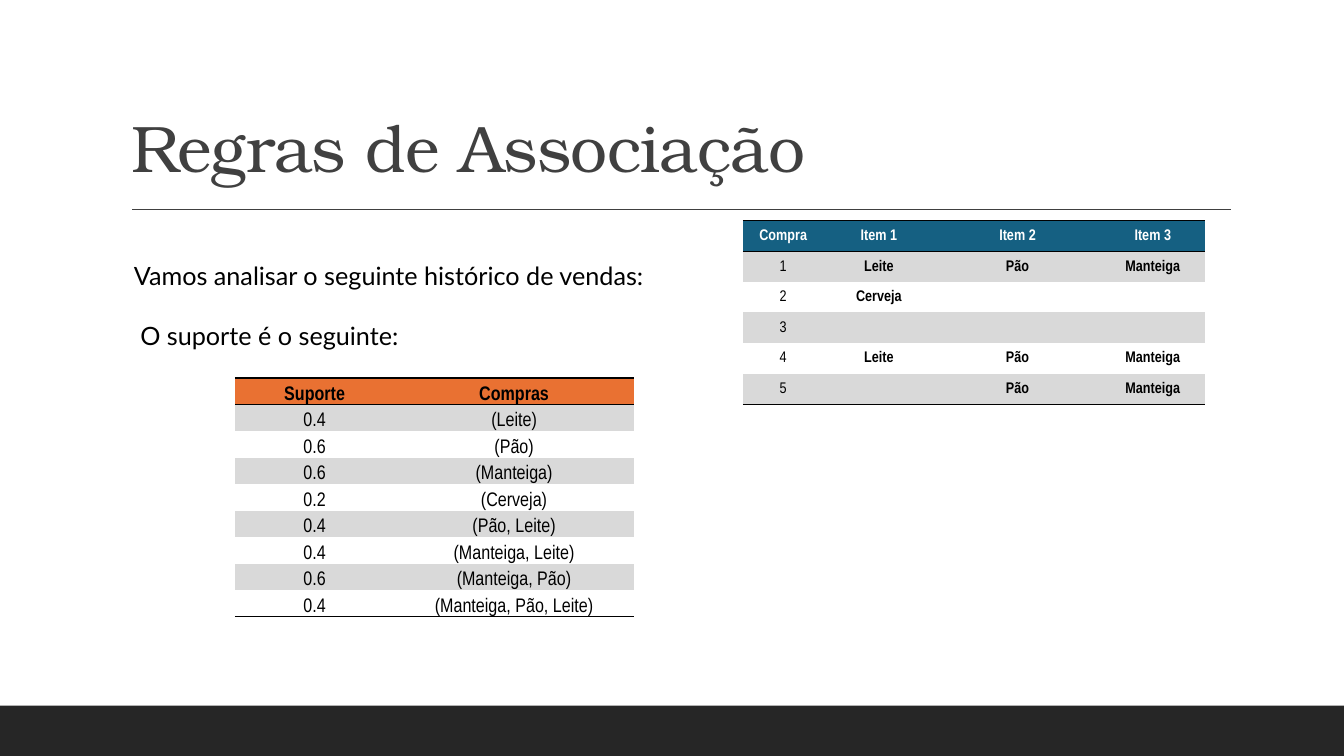
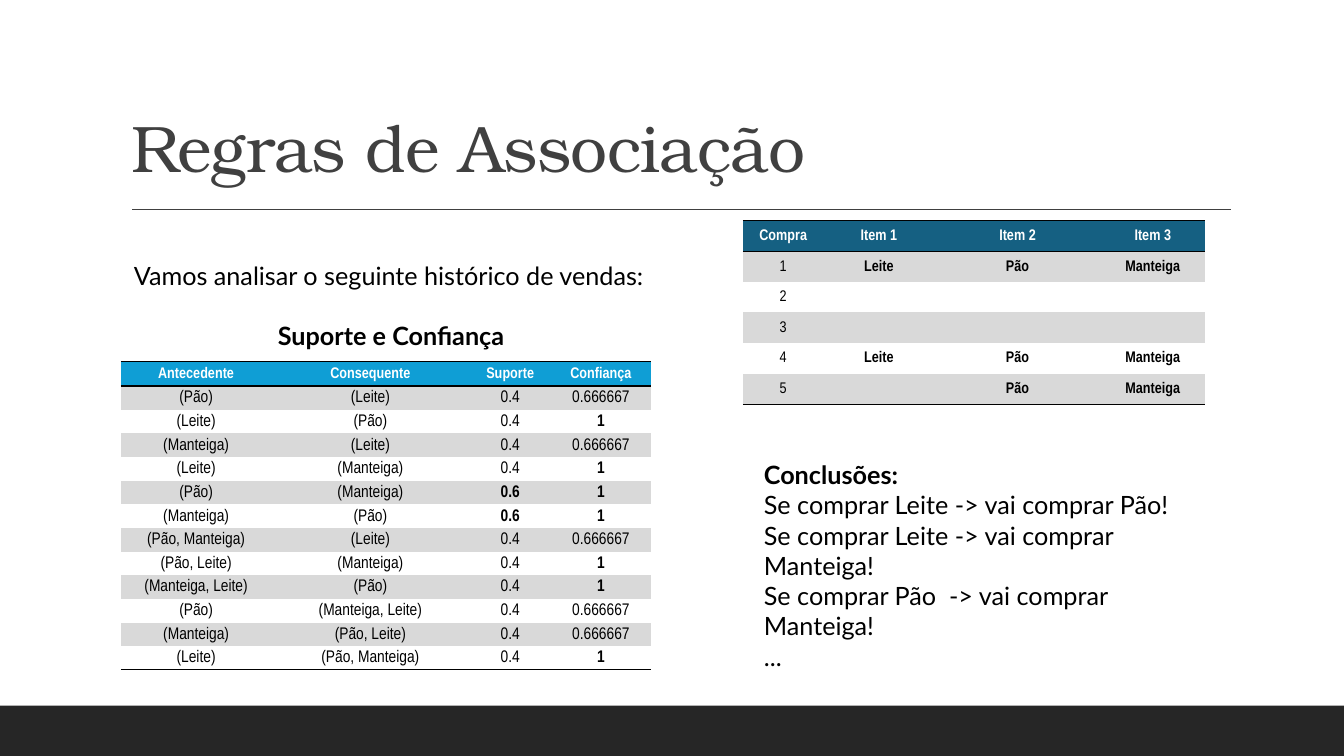
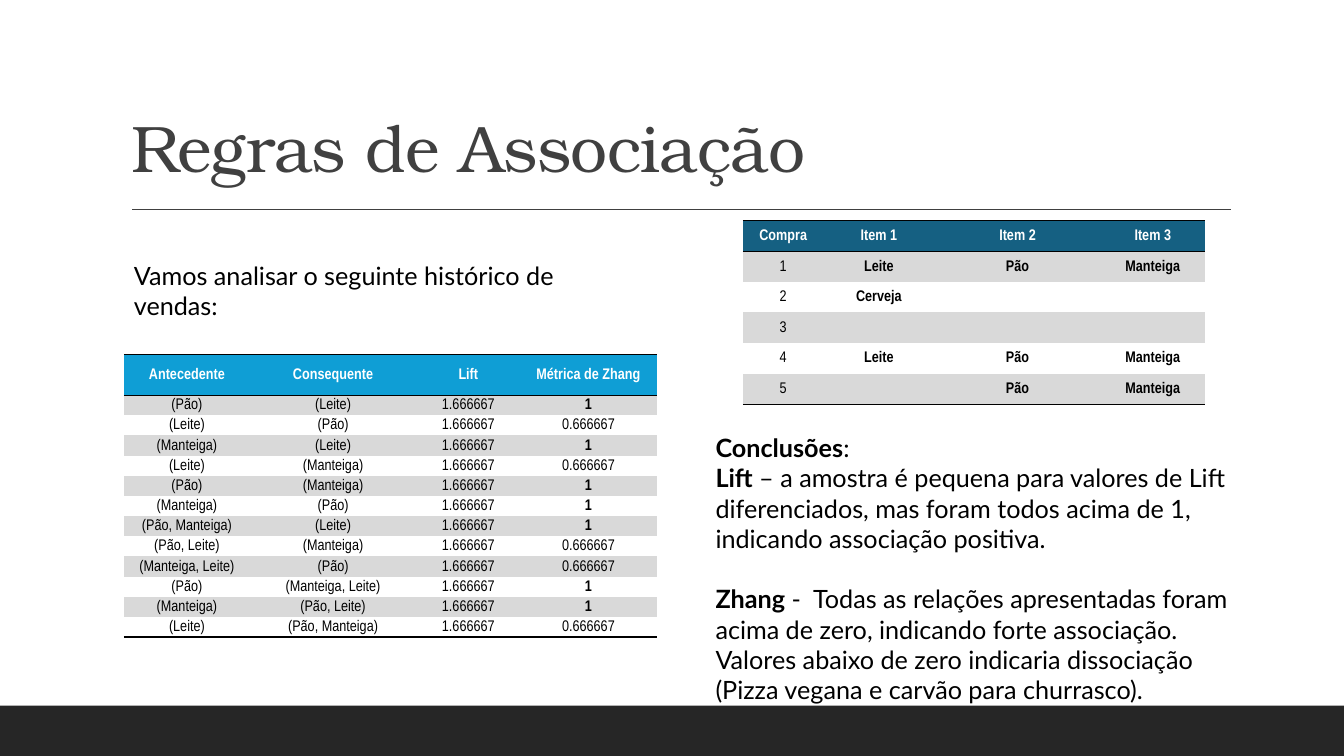
from pptx import Presentation
from pptx.dml.color import RGBColor
from pptx.enum.shapes import MSO_CONNECTOR, MSO_SHAPE
from pptx.enum.text import MSO_ANCHOR, MSO_AUTO_SIZE, PP_ALIGN
from pptx.oxml import parse_xml
from pptx.oxml.ns import nsdecls, qn
from pptx.util import Inches, Pt

COLORS = {
    "black": "000000", "white": "FFFFFF", "band": "262626", "title": "404040",
    "stripe": "D9D9D9", "navy": "156082", "orange": "E97132", "sky": "0F9ED5",
}
RGB = {name: RGBColor.from_string(value) for name, value in COLORS.items()}
UNIT = Inches(1) / 12
COLS, ROWS = 160, 90
NO_STYLE = "{2D5ABB26-0587-4C30-8999-92F81FD0307C}"
LEFT, CENTER = PP_ALIGN.LEFT, PP_ALIGN.CENTER
LINE = 21.6


def add_grid(slide, left, top, widths, heights, rows, header, bold=(), sizes=(11, 11),
             anchor=MSO_ANCHOR.MIDDLE):
    header_height, row_height = heights
    total = header_height + row_height * (len(rows) - 1)
    table = slide.shapes.add_table(
        len(rows), len(widths), *[int(v * UNIT) for v in (left, top, sum(widths), total)]).table
    table.first_row = table.horz_banding = False
    table._tbl.tblPr.find(qn("a:tableStyleId")).text = NO_STYLE
    for column, width in zip(table.columns, widths):
        column.width = int(width * UNIT)
    header_fill, header_color = header
    for r, values in enumerate(rows):
        table.rows[r].height = int((row_height if r else header_height) * UNIT)
        size = sizes[min(r, 1)]
        for c, value in enumerate(values):
            cell = table.cell(r, c)
            cell.vertical_anchor = anchor
            cell.margin_left = cell.margin_right = cell.margin_top = Inches(0.01)
            cell.margin_bottom = 0
            if r % 2 or r == 0:
                cell.fill.solid()
                cell.fill.fore_color.rgb = RGB["stripe" if r else header_fill]
            else:
                cell.fill.background()
            edges = ["lnT"] * (r == 0) + ["lnB"] * (r in (0, len(rows) - 1))
            for position, edge in enumerate(edges):
                cell._tc.get_or_add_tcPr().insert(position, parse_xml(
                    f'<a:{edge} {nsdecls("a")} w="12700"><a:solidFill>'
                    f'<a:srgbClr val="{COLORS["black"]}"/></a:solidFill></a:{edge}>'))
            paragraph = cell.text_frame.paragraphs[0]
            paragraph.alignment = CENTER
            paragraph._p.get_or_add_endParaRPr().set("sz", str(size * 100))
            if value:
                run = paragraph.add_run()
                run.text = value
                run.font.name, run.font.size = "Arial Narrow", Pt(size)
                run.font.bold = r == 0 or value in bold
                run.font.color.rgb = RGB["black" if r else header_color]


def add_text(slide, left, top, width, height, paragraphs):
    frame = slide.shapes.add_textbox(
        *[int(v * UNIT) for v in (left, top, width, height)]).text_frame
    frame.word_wrap = True
    for i, (text, align, gap) in enumerate(paragraphs):
        paragraph = frame.add_paragraph() if i else frame.paragraphs[0]
        paragraph.alignment = align
        paragraph.space_before = Pt(gap)
        for part, words in enumerate(text.split("**")):
            if words:
                run = paragraph.add_run()
                run.text = words
                run.font.name, run.font.size = "Lato", Pt(18)
                run.font.bold = part % 2 == 1
                run.font.color.rgb = RGB["black"]


prs = Presentation()
prs.slide_width, prs.slide_height = int(COLS * UNIT), int(ROWS * UNIT)
layout = prs.slide_layouts[5]
slides = [prs.slides.add_slide(layout) for _ in range(3)]
support_slide, confidence_slide, lift_slide = slides

band = support_slide.shapes.add_shape(
    MSO_SHAPE.RECTANGLE, 0, int(84 * UNIT), prs.slide_width, int(6 * UNIT))
band.shadow.inherit = False
band.fill.solid()
band.fill.fore_color.rgb = RGB["band"]
band.line.fill.background()
rule = support_slide.shapes.add_connector(
    MSO_CONNECTOR.STRAIGHT, *[int(v * UNIT) for v in (15.72, 24.96, 146.52, 24.96)])
rule.line.color.rgb = RGB["title"]
rule.line.width = Pt(1)
rule._element.spPr.append(parse_xml(f'<a:effectLst {nsdecls("a")}/>'))
for position, shared in enumerate((band, rule), start=2):
    layout.shapes._spTree.insert(position, shared._element)

PRODUCTS = ("Leite", "Pão", "Manteiga", "Cerveja")
INTRO = ("Vamos analisar o seguinte histórico de vendas:", LEFT, 0)
for slide in slides:
    title = slide.shapes.title
    title.left, title.top, title.width, title.height = [
        int(v * UNIT) for v in (14.4, 3.72, 132, 19.08)]
    title.text_frame.text = "Regras de Associação"
    title.text_frame.auto_size = MSO_AUTO_SIZE.NONE
    title.text_frame.vertical_anchor = MSO_ANCHOR.BOTTOM
    paragraph = title.text_frame.paragraphs[0]
    paragraph.alignment, paragraph.line_spacing = LEFT, 0.9
    run = paragraph.runs[0]
    run.font.name, run.font.size = "TeX Gyre Bonum", Pt(47)
    run.font.color.rgb = RGB["title"]
    run._r.get_or_add_rPr().set("spc", "-50")

    second_item = "" if slide is confidence_slide else "Cerveja"
    add_grid(slide, 88.44, 26.28, (9.6, 13.2, 19.8, 12.4), (3.64, 3.64), [
        ("Compra", "Item 1", "Item 2", "Item 3"),
        ("1", "Leite", "Pão", "Manteiga"),
        ("2", second_item, "", ""),
        ("3", "", "", ""),
        ("4", "Leite", "Pão", "Manteiga"),
        ("5", "", "Pão", "Manteiga"),
    ], ("navy", "white"), PRODUCTS)

add_text(support_slide, 14.76, 30.36, 63.6, 12,
         [INTRO, (" O suporte é o seguinte:", LEFT, LINE)])
add_grid(support_slide, 27.96, 45, (19, 28.5), (3.16, 3.16), [
    ("Suporte", "Compras"),
    ("0.4", "(Leite)"),
    ("0.6", "(Pão)"),
    ("0.6", "(Manteiga)"),
    ("0.2", "(Cerveja)"),
    ("0.4", "(Pão, Leite)"),
    ("0.4", "(Manteiga, Leite)"),
    ("0.6", "(Manteiga, Pão)"),
    ("0.4", "(Manteiga, Pão, Leite)"),
], ("orange", "black"), sizes=(14, 14), anchor=MSO_ANCHOR.BOTTOM)

PART = "0.666667"
RULES = [
    ("(Pão)", "(Leite)", "0.4", PART, "1"),
    ("(Leite)", "(Pão)", "0.4", "1", PART),
    ("(Manteiga)", "(Leite)", "0.4", PART, "1"),
    ("(Leite)", "(Manteiga)", "0.4", "1", PART),
    ("(Pão)", "(Manteiga)", "0.6", "1", "1"),
    ("(Manteiga)", "(Pão)", "0.6", "1", "1"),
    ("(Pão, Manteiga)", "(Leite)", "0.4", PART, "1"),
    ("(Pão, Leite)", "(Manteiga)", "0.4", "1", PART),
    ("(Manteiga, Leite)", "(Pão)", "0.4", "1", PART),
    ("(Pão)", "(Manteiga, Leite)", "0.4", PART, "1"),
    ("(Manteiga)", "(Pão, Leite)", "0.4", PART, "1"),
    ("(Leite)", "(Pão, Manteiga)", "0.4", "1", PART),
]

add_text(confidence_slide, 14.76, 30.36, 63.6, 12,
         [INTRO, ("**Suporte e Confiança**", CENTER, LINE)])
add_grid(confidence_slide, 14.4, 43.08, (17.9, 23.6, 9.7, 11.9), (2.88, 2.82),
         [("Antecedente", "Consequente", "Suporte", "Confiança")]
         + [row[:4] for row in RULES],
         ("sky", "white"), ("1", "0.6"), sizes=(11, 12))
add_text(confidence_slide, 89.76, 54.12, 56.5, 26, [
    ("**Conclusões:**", LEFT, 0),
    ("Se comprar Leite -> vai comprar Pão!", LEFT, 0),
    ("Se comprar Leite -> vai comprar Manteiga!", LEFT, 0),
    ("Se comprar Pão  -> vai comprar Manteiga!", LEFT, 0),
    ("...", LEFT, 0),
])

add_text(lift_slide, 14.76, 30.36, 62.28, 8, [INTRO])
add_grid(lift_slide, 14.76, 42.24, (15, 19.8, 12.4, 16.2), (4.8, 2.4),
         [("Antecedente", "Consequente", "Lift", "Métrica de Zhang")]
         + [(before, after, "1.666667", zhang) for before, after, _, _, zhang in RULES],
         ("sky", "white"), ("1",))
add_text(lift_slide, 84, 50.88, 71.4, 33, [
    ("**Conclusões**:", LEFT, 0),
    ("**Lift** – a amostra é pequena para valores de Lift diferenciados, "
     "mas foram todos acima de 1, indicando associação positiva.", LEFT, 0),
    ("**Zhang** -  Todas as relações apresentadas foram acima de zero, "
     "indicando forte associação.", LEFT, LINE),
    ("Valores abaixo de zero indicaria dissociação", LEFT, 0),
    ("(Pizza vegana e carvão para churrasco).", LEFT, 0),
])

prs.save("out.pptx")
